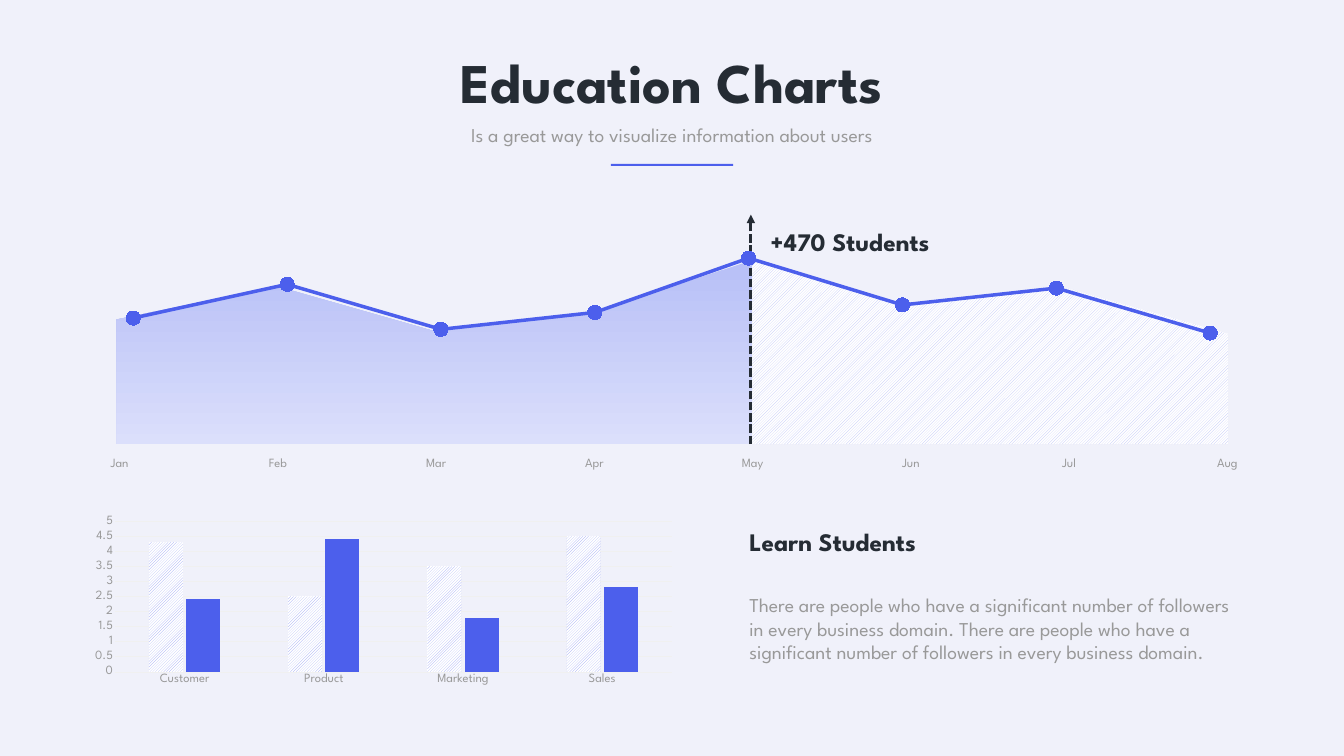
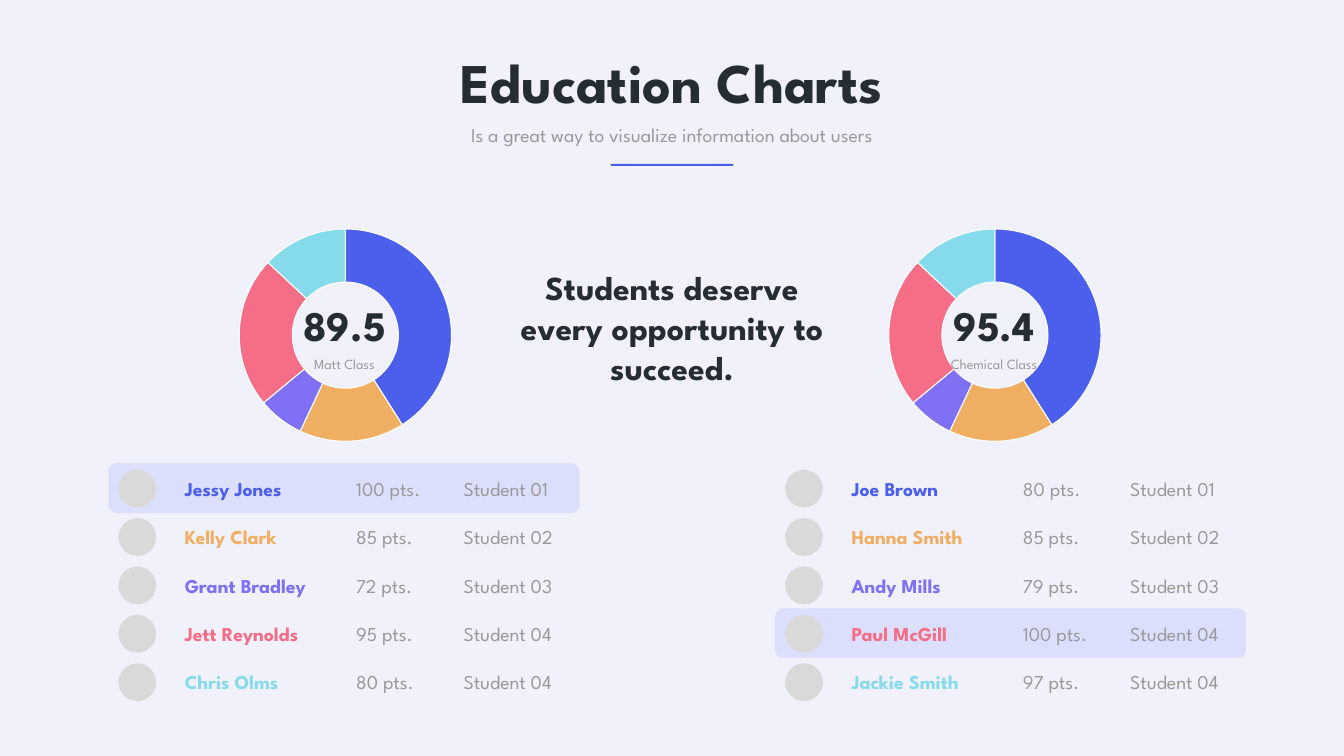
import dataclasses

import pptx
import pptx.chart.data
import pptx.dml.color
import pptx.enum.chart
import pptx.enum.dml
import pptx.enum.shapes
import pptx.enum.text
import pptx.oxml
import pptx.oxml.ns
import pptx.util

Inches = pptx.util.Inches
Pt = pptx.util.Pt
qn = pptx.oxml.ns.qn
Align = pptx.enum.text.PP_ALIGN
Anchor = pptx.enum.text.MSO_ANCHOR
ChartType = pptx.enum.chart.XL_CHART_TYPE
Preset = pptx.enum.shapes.MSO_SHAPE


@dataclasses.dataclass(frozen=True)
class Theme:
    font: str = "League Spartan"
    doughnut_font: str = "Calibri"
    background: str = "F0F1FA"
    dark: str = "252C34"
    gray: str = "999999"
    blue: str = "4C5FEC"
    white: str = "FFFFFF"
    area: str = "B7BFF7"
    band: str = "DBDFFB"
    hatch: str = "949FF4"
    grid: str = "F0F0F0"
    avatar: str = "D9D9D9"
    accents: tuple = ("4C5FEC", "F0AE62", "7F70F4", "F56D87", "85DBEC")
    title: int = 80
    score: int = 60
    statement: int = 48
    heading: int = 36
    body: int = 28
    label: int = 20
    axis: int = 18
    small: int = 10


THEME = Theme()


def rgb(value):
    return pptx.dml.color.RGBColor.from_string(value)


def apply_format(target, values):
    for name, value in values.items():
        setattr(target, name, value)


def inches(box):
    return [Inches(length) for length in box]


def format_font(font, size, color=THEME.gray, bold=False, name=THEME.font):
    apply_format(font, {"name": name, "size": Pt(size), "bold": bold})
    font.color.rgb = rgb(color)


# Text and shapes
def write_text(shape, text, size, color=THEME.gray, bold=False,
               align=Align.LEFT, **frame_format):
    frame = shape.text_frame
    apply_format(frame, {
        "text": text,
        "word_wrap": True,
        "auto_size": pptx.enum.text.MSO_AUTO_SIZE.SHAPE_TO_FIT_TEXT,
        "vertical_anchor": Anchor.TOP,
        **frame_format,
    })
    paragraph = frame.paragraphs[0]
    paragraph.alignment = align
    format_font(paragraph.runs[0].font, size, color, bold)


def add_text(slide, box, text, size, **text_format):
    write_text(slide.shapes.add_textbox(*inches(box)), text, size, **text_format)


def add_filled(slide, preset, box, color):
    shape = slide.shapes.add_shape(preset, *inches(box))
    shape.shadow.inherit = False
    shape.fill.solid()
    shape.fill.fore_color.rgb = rgb(color)
    shape.line.fill.background()


def hatch_fill(fill, color):
    fill.patterned()
    fill.pattern = pptx.enum.dml.MSO_PATTERN.WIDE_UPWARD_DIAGONAL
    fill.fore_color.rgb = rgb(color)
    fill.back_color.rgb = rgb(THEME.white)


# Charts
def add_chart(slide, kind, box, categories, series, plot_box, size, font):
    data = pptx.chart.data.CategoryChartData()
    data.categories = categories
    for number, values in enumerate(series, 1):
        data.add_series(f"Series {number}", values)
    chart = slide.shapes.add_chart(kind, *inches(box), data).chart
    apply_format(chart, {"has_legend": False, "has_title": False})
    format_font(chart.font, size, name=font)
    plot = chart.plots[0]
    apply_format(plot, {"vary_by_categories": False, "has_data_labels": False})

    # Inner plot area as fractions of the chart box
    area = chart.element.find(".//" + qn("c:plotArea"))
    for layout in area.findall(qn("c:layout")):
        area.remove(layout)
    places = "".join(f'<c:{name} val="{value}"/>' for name, value in zip("xywh", plot_box))
    area.insert(0, pptx.oxml.parse_xml(
        f'<c:layout {pptx.oxml.ns.nsdecls("c")}><c:manualLayout>'
        '<c:layoutTarget val="inner"/><c:xMode val="edge"/><c:yMode val="edge"/>'
        f'{places}</c:manualLayout></c:layout>'))
    return chart


def add_student_line(slide, box):
    chart = add_chart(slide, ChartType.LINE_MARKERS, box, list("12345678"),
                      [(68, 86, 62, 71, 100, 75, 84, 60)],
                      (0.02, 0.117, 0.96, 0.851), THEME.label, THEME.font)
    apply_format(chart.value_axis, {
        "minimum_scale": 0, "maximum_scale": 100,
        "has_major_gridlines": False, "visible": False,
    })
    chart.category_axis.visible = False
    series = chart.plots[0].series[0]
    series.smooth = False
    series.format.line.width = Pt(5)
    series.format.line.color.rgb = rgb(THEME.blue)
    apply_format(series.marker, {
        "style": pptx.enum.chart.XL_MARKER_STYLE.CIRCLE, "size": 20})
    series.marker.format.fill.solid()
    series.marker.format.fill.fore_color.rgb = rgb(THEME.blue)
    series.marker.format.line.fill.background()


def add_department_columns(slide, box):
    chart = add_chart(slide, ChartType.COLUMN_CLUSTERED, box,
                      ["Customer", "Product", "Marketing", "Sales"],
                      [(4.3, 2.5, 3.5, 4.5), (2.4, 4.4, 1.8, 2.8)],
                      (0.053, 0.054, 0.927, 0.847), THEME.axis, THEME.font)
    plot = chart.plots[0]
    apply_format(plot, {"gap_width": 200, "overlap": -10})
    hatch_fill(plot.series[0].format.fill, THEME.hatch)
    plot.series[1].format.fill.solid()
    plot.series[1].format.fill.fore_color.rgb = rgb(THEME.blue)

    no_tick = pptx.enum.chart.XL_TICK_MARK.NONE
    for axis in (chart.category_axis, chart.value_axis):
        apply_format(axis, {"major_tick_mark": no_tick, "minor_tick_mark": no_tick})
        format_font(axis.tick_labels.font, THEME.axis)
    apply_format(chart.value_axis, {
        "minimum_scale": 0, "maximum_scale": 5, "major_unit": 0.5})
    chart.value_axis.format.line.fill.background()
    for line in (chart.category_axis.format.line,
                 chart.value_axis.major_gridlines.format.line):
        line.color.rgb = rgb(THEME.grid)
        line.width = Pt(0.75)


def add_class_doughnut(slide, left, top, score, class_name):
    chart = add_chart(slide, ChartType.DOUGHNUT, (left, top, 5.61, 5.19), list("12345"),
                      [(41, 16, 7, 23, 13)], (0.135, 0.041, 0.751, 0.812),
                      THEME.small, THEME.doughnut_font)
    chart.element.find(".//" + qn("c:holeSize")).set("val", "85")
    for index, color in enumerate(THEME.accents):
        point = chart.plots[0].series[0].points[index].format
        point.fill.solid()
        point.fill.fore_color.rgb = rgb(color)
        point.line.color.rgb = rgb(THEME.white)
        point.line.width = Pt(1.5)

    # Score and class name in the hole
    margins = {f"margin_{side}": Inches(0.06) for side in ("left", "right", "top", "bottom")}
    add_text(slide, (left + 1.44, top + 2.67, 2.81, 0.44), class_name,
             THEME.label, align=Align.CENTER)
    add_text(slide, (left + 1.44, top + 1.55, 2.81, 1.12), score, THEME.score,
             color=THEME.dark, bold=True, align=Align.CENTER,
             vertical_anchor=Anchor.MIDDLE, **margins)


# Heading shared by both slides
def add_heading(slide):
    title = slide.shapes.title
    names = ("left", "top", "width", "height")
    apply_format(title, dict(zip(names, inches((6.88, 0.9, 12.91, 1.45)))))
    write_text(title, "Education Charts", THEME.title, THEME.dark, True, Align.CENTER)
    add_text(slide, (8.55, 2.38, 9.56, 0.57),
             "Is a great way to visualize information about users",
             THEME.body, align=Align.CENTER)
    add_filled(slide, Preset.RECTANGLE, (12.12, 3.25, 2.43, 0.04), THEME.blue)


# Areas below the student line, split at the peak
def add_area(slide, ridge, baseline):
    points = [*ridge, (ridge[-1][0], baseline), (ridge[0][0], baseline)]
    start, *others = [tuple(inches(point)) for point in points]
    builder = slide.shapes.build_freeform(*start)
    builder.add_line_segments(others, close=True)
    area = builder.convert_to_shape()
    area.shadow.inherit = False
    area.line.fill.background()
    return area


def add_monthly_trend(slide, left, top):
    baseline = top + 3.65
    ridge = [(left + x, top + y) for x, y in (
        (0, 1.18), (3.19, 0.52), (6.3, 1.41), (9.44, 1.06), (12.62, 0),
        (15.77, 0.91), (18.87, 0.56), (22.06, 1.46))]
    past = add_area(slide, ridge[:5], baseline)
    past.fill.gradient()
    past.fill.gradient_angle = 270
    for stop, color, position in zip(past.fill.gradient_stops,
                                     (THEME.area, THEME.band), (0, 1)):
        stop.color.rgb = rgb(color)
        stop.position = position
    hatch_fill(add_area(slide, ridge[4:], baseline).fill, THEME.area)

    # Dashed arrow at the peak
    peak = left + 12.59
    arrow = slide.shapes.add_connector(
        pptx.enum.shapes.MSO_CONNECTOR.STRAIGHT,
        *inches((peak, baseline, peak, top - 0.9)))
    apply_format(arrow.line, {
        "width": Pt(4), "dash_style": pptx.enum.dml.MSO_LINE.SQUARE_DOT})
    arrow.line.color.rgb = rgb(THEME.dark)
    properties = arrow.element.spPr
    tail = properties.find(qn("a:ln")).makeelement(qn("a:tailEnd"), {"type": "triangle"})
    properties.find(qn("a:ln")).append(tail)
    properties.append(properties.makeelement(qn("a:effectLst"), {}))

    add_text(slide, (peak + 0.29, top - 0.72, 4.24, 0.71), "+470 Students",
             THEME.heading, color=THEME.dark, bold=True)
    months = ("Jan", "Feb", "Mar", "Apr", "May", "Jun", "Jul", "Aug")
    for index, month in enumerate(months):
        add_text(slide, (left - 1.27 + 3.14 * index, top + 3.82, 2.67, 0.4), month,
                 THEME.axis, align=Align.CENTER)


def add_learn_text(slide, left, top):
    add_text(slide, (left, top + 1.32, 9.95, 1.99),
             "There are people who have a significant number of followers in every "
             "business domain. There are people who have a significant number of "
             "followers in every business domain.", THEME.body)
    add_text(slide, (left, top, 9.95, 0.71), "Learn Students", THEME.heading,
             color=THEME.dark, bold=True)


# Ranked students, one of them on a band
def add_student_list(slide, left, top, students, leader):
    numbers = ("01", "02", "03", "04", "04")
    for row, ((name, points), number, color) in enumerate(
            zip(students, numbers, THEME.accents)):
        row_top = top + 0.96 * row
        if row == leader:
            add_filled(slide, Preset.ROUNDED_RECTANGLE,
                       (left - 0.2, row_top - 0.13, 9.35, 0.99), THEME.band)
        add_filled(slide, Preset.OVAL, (left, row_top, 0.75, 0.75), THEME.avatar)
        text_top = row_top + 0.09
        add_text(slide, (left + 1.22, text_top, 2.93, 0.57), name, THEME.body,
                 color=color, bold=True)
        add_text(slide, (left + 4.62, text_top, 1.64, 0.57), f"{points} pts.", THEME.body)
        add_text(slide, (left + 6.75, text_top, 2.47, 0.57), f"Student {number}", THEME.body)


def build_trend_slide(slide):
    add_heading(slide)
    add_monthly_trend(slide, 2.31, 5.16)
    add_department_columns(slide, (1.65, 10.15, 11.92, 3.53))
    add_learn_text(slide, 14.77, 10.4)
    add_student_line(slide, (0.61, 4.61, 25.44, 4.37))


def build_class_slide(slide):
    add_heading(slide)
    add_class_doughnut(slide, 3.99, 4.33, "89.5", "Matt Class")
    add_class_doughnut(slide, 16.88, 4.33, "95.4", "Chemical Class")
    add_student_list(slide, 2.35, 9.32, (
        ("Jessy Jones", 100), ("Kelly Clark", 85), ("Grant Bradley", 72),
        ("Jett Reynolds", 95), ("Chris Olms", 80)), leader=0)
    add_student_list(slide, 15.58, 9.32, (
        ("Joe Brown", 80), ("Hanna Smith", 85), ("Andy Mills", 79),
        ("Paul McGill", 100), ("Jackie Smith", 97)), leader=3)
    add_text(slide, (9.86, 5.24, 6.95, 2.52),
             "Students deserve every opportunity to succeed.", THEME.statement,
             color=THEME.dark, bold=True, align=Align.CENTER)


def main():
    presentation = pptx.Presentation()
    apply_format(presentation, {"slide_width": Inches(26.67), "slide_height": Inches(15)})
    background = presentation.slide_master.background.fill
    background.solid()
    background.fore_color.rgb = rgb(THEME.background)
    title_only = presentation.slide_layouts[5]
    for build in (build_trend_slide, build_class_slide):
        build(presentation.slides.add_slide(title_only))
    presentation.save("out.pptx")


if __name__ == "__main__":
    main()
